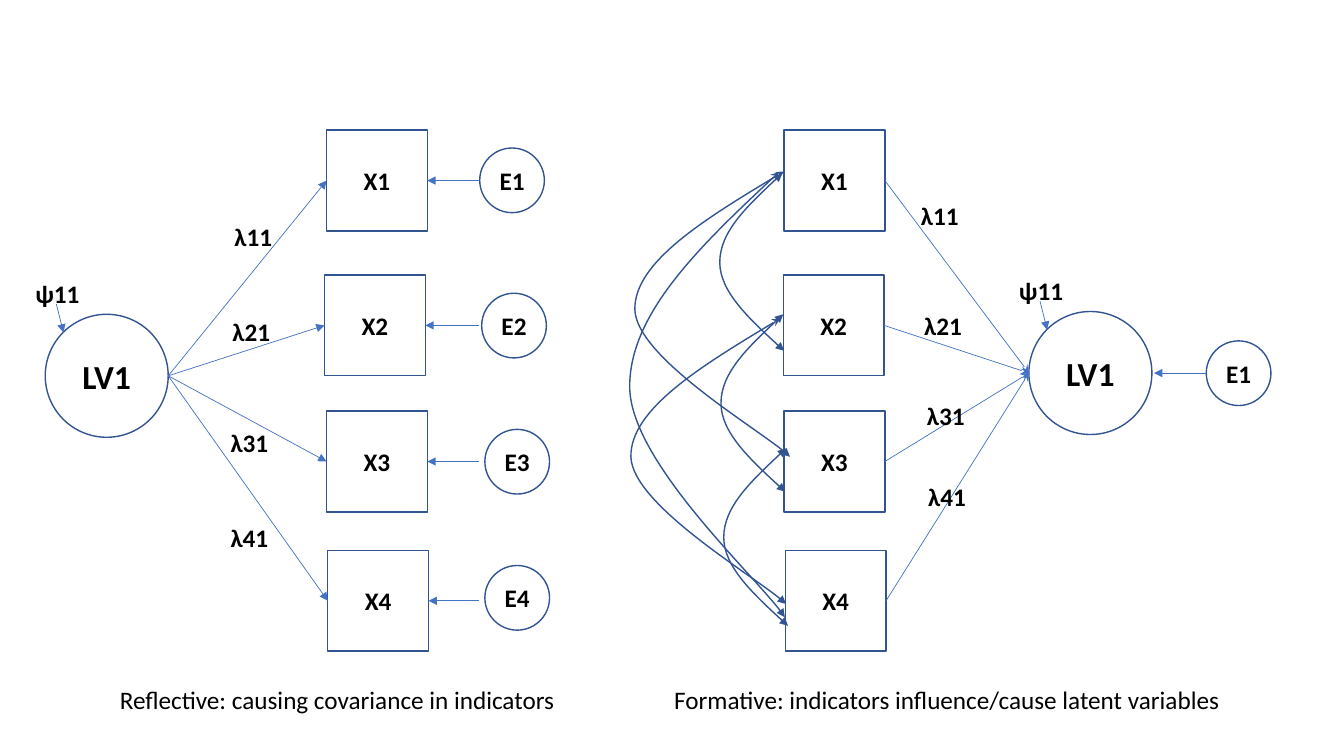
from dataclasses import dataclass

from lxml.etree import SubElement
from pptx import Presentation
from pptx.dml.color import RGBColor
from pptx.enum.shapes import MSO_CONNECTOR, MSO_SHAPE
from pptx.enum.text import MSO_ANCHOR, MSO_AUTO_SIZE, PP_ALIGN
from pptx.oxml.ns import qn
from pptx.shapes.shapetree import SlideShapes
from pptx.text.text import TextFrame
from pptx.util import Cm, Pt

WHITE = RGBColor(0xFF, 0xFF, 0xFF)
BLACK = RGBColor(0x00, 0x00, 0x00)
OUTLINE_BLUE = RGBColor(0x32, 0x54, 0x91)
ARROW_BLUE = RGBColor(0x44, 0x72, 0xC4)
FONT = "Calibri"

# Lengths in centimetres
INDICATOR_SIZE = 2.54
ERROR_SIZE = 1.63
LATENT_SIZE = 3.1
LABEL_HEIGHT = 1.02
INDICATOR_TOPS = (3.28, 6.93, 10.36, 13.87)

Point = tuple[float, float]


@dataclass(frozen=True)
class Model:
    indicator_lefts: tuple[float, ...]
    latent: Point
    loading_labels: tuple[Point, ...]
    caption: str
    caption_left: float
    caption_width: float


@dataclass(frozen=True)
class Covariance:
    start: Point
    bend: tuple[Point, ...]
    head: str
    stretch: float = 1.0


REFLECTIVE = Model(
    (8.23, 8.18, 8.23, 8.26), (1.14, 7.92),
    ((5.66, 5.46), (5.61, 7.85), (5.56, 10.64), (5.56, 13.03)),
    "Reflective: causing covariance in indicators", 2.77, 11.94)
FORMATIVE = Model(
    (19.76, 19.74, 19.76, 19.79), (25.93, 7.85),
    ((22.96, 4.93), (23.04, 7.70), (23.11, 9.96), (23.14, 12.01)),
    "Formative: indicators influence/cause latent variables", 16.74, 14.68)

REFLECTIVE_ERRORS = ((12.09, 3.73), (12.14, 7.39), (12.22, 10.82), (12.22, 14.25))
ERROR_ARROW_START = 12.07
FORMATIVE_ERROR = (30.4, 8.59)

# Bezier points relative to the start of each curve
SHORT_BEND = ((-0.79, 0.74), (-1.57, 1.47), (-1.57, 2.24),
              (-1.57, 2.97), (-0.76, 3.73), (0.05, 4.47))
LONG_BEND = ((-1.9, 1.14), (-3.78, 2.29), (-3.76, 3.48),
             (-3.73, 4.67), (-0.38, 6.65), (0.15, 7.19))
COVARIANCES = (
    Covariance((19.71, 4.37), SHORT_BEND, "triangle"),
    Covariance((19.74, 7.92), SHORT_BEND, "triangle"),
    Covariance((19.81, 11.3), SHORT_BEND, "triangle"),
    Covariance((19.76, 4.32), LONG_BEND, "stealth"),
    Covariance((19.66, 8.03), LONG_BEND, "stealth"),
    Covariance((19.63, 4.34), LONG_BEND, "stealth", 1.56),
)


def add_text(frame: TextFrame, text: str, size: int, bold: bool) -> None:
    run = frame.paragraphs[0].add_run()
    run.text = text
    run.font.name = FONT
    run.font.size = Pt(size)
    run.font.bold = bold
    run.font.color.rgb = BLACK


def add_node(shapes: SlideShapes, kind: MSO_SHAPE, corner: Point, size: float,
             text: str, text_size: int = 18) -> None:
    node = shapes.add_shape(kind, Cm(corner[0]), Cm(corner[1]), Cm(size), Cm(size))
    node.shadow.inherit = False
    node.fill.solid()
    node.fill.fore_color.rgb = WHITE
    node.line.color.rgb = OUTLINE_BLUE
    node.line.width = Pt(1)
    frame = node.text_frame
    frame.margin_left = frame.margin_right = 0
    frame.vertical_anchor = MSO_ANCHOR.MIDDLE
    frame.paragraphs[0].alignment = PP_ALIGN.CENTER
    add_text(frame, text, text_size, True)


def add_label(shapes: SlideShapes, corner: Point, width: float, text: str,
              bold: bool = True, wrap: bool = False) -> None:
    label = shapes.add_textbox(Cm(corner[0]), Cm(corner[1]), Cm(width), Cm(LABEL_HEIGHT))
    label.text_frame.word_wrap = wrap
    label.text_frame.auto_size = MSO_AUTO_SIZE.SHAPE_TO_FIT_TEXT
    add_text(label.text_frame, text, 18, bold)


def add_arrow(shapes: SlideShapes, start: Point, end: Point, tip: str = "triangle") -> None:
    arrow = shapes.add_connector(MSO_CONNECTOR.STRAIGHT, Cm(start[0]), Cm(start[1]),
                                 Cm(end[0]), Cm(end[1]))
    arrow.line.color.rgb = ARROW_BLUE
    arrow.line.width = Pt(0.5)
    SubElement(arrow.line._get_or_add_ln(), qn("a:tailEnd"), type=tip)
    SubElement(arrow.element.spPr, qn("a:effectLst"))


def add_covariance(shapes: SlideShapes, covariance: Covariance) -> None:
    """Draw a double-headed curve of two cubic Bezier segments."""
    x, y = covariance.start
    builder = shapes.build_freeform(Cm(x), Cm(y))
    builder.add_line_segments(
        [(Cm(x + dx), Cm(y + dy * covariance.stretch)) for dx, dy in covariance.bend],
        close=False)
    curve = builder.convert_to_shape()
    steps = list(curve.element.iter(qn("a:lnTo")))
    for first in range(0, len(steps), 3):
        bezier = SubElement(steps[first].getparent(), qn("a:cubicBezTo"))
        for step in steps[first:first + 3]:
            bezier.append(step[0])
            step.getparent().remove(step)
    curve.shadow.inherit = False
    curve.fill.background()
    curve.line.color.rgb = OUTLINE_BLUE
    curve.line.width = Pt(1)
    outline = curve.line._get_or_add_ln()
    SubElement(outline, qn("a:headEnd"), type=covariance.head)
    SubElement(outline, qn("a:tailEnd"), type="triangle")


def add_model(shapes: SlideShapes, model: Model, reflective: bool) -> None:
    """Draw indicators, latent variable, loadings and caption of one model."""
    latent_x, latent_y = model.latent
    add_node(shapes, MSO_SHAPE.OVAL, model.latent, LATENT_SIZE, "LV1", 24)
    latent_side = (latent_x + (LATENT_SIZE if reflective else 0), latent_y + LATENT_SIZE / 2)
    rows = zip(model.indicator_lefts, INDICATOR_TOPS, model.loading_labels)
    for number, (left, top, label_corner) in enumerate(rows, start=1):
        add_node(shapes, MSO_SHAPE.RECTANGLE, (left, top), INDICATOR_SIZE, f"X{number}")
        middle = top + INDICATOR_SIZE / 2
        if reflective:
            add_arrow(shapes, latent_side, (left, middle))
        else:
            add_arrow(shapes, (left + INDICATOR_SIZE, middle), latent_side, "stealth")
        add_label(shapes, label_corner, 1.47, f"λ{number}1")
    add_arrow(shapes, (latent_x + 0.28, latent_y - 0.26), (latent_x + 0.46, latent_y + 0.46))
    add_label(shapes, (latent_x - 0.5, latent_y - 1.03), 1.63, "ψ11")
    add_label(shapes, (model.caption_left, 17.12), model.caption_width, model.caption,
              bold=False, wrap=True)


def add_errors(shapes: SlideShapes) -> None:
    rows = zip(REFLECTIVE_ERRORS, REFLECTIVE.indicator_lefts, INDICATOR_TOPS)
    for number, (corner, left, top) in enumerate(rows, start=1):
        add_node(shapes, MSO_SHAPE.OVAL, corner, ERROR_SIZE, f"E{number}")
        middle = top + INDICATOR_SIZE / 2
        add_arrow(shapes, (ERROR_ARROW_START, middle), (left + INDICATOR_SIZE, middle))
    add_node(shapes, MSO_SHAPE.OVAL, FORMATIVE_ERROR, ERROR_SIZE, "E1")
    middle = FORMATIVE.latent[1] + LATENT_SIZE / 2
    add_arrow(shapes, (FORMATIVE_ERROR[0], middle),
              (FORMATIVE.latent[0] + LATENT_SIZE + 0.05, middle))


def main() -> None:
    presentation = Presentation()
    presentation.slide_width = Cm(33.87)
    presentation.slide_height = Cm(19.05)
    shapes = presentation.slides.add_slide(presentation.slide_layouts[6]).shapes
    add_model(shapes, REFLECTIVE, reflective=True)
    add_model(shapes, FORMATIVE, reflective=False)
    for covariance in COVARIANCES:
        add_covariance(shapes, covariance)
    add_errors(shapes)
    presentation.save("out.pptx")


if __name__ == "__main__":
    main()
